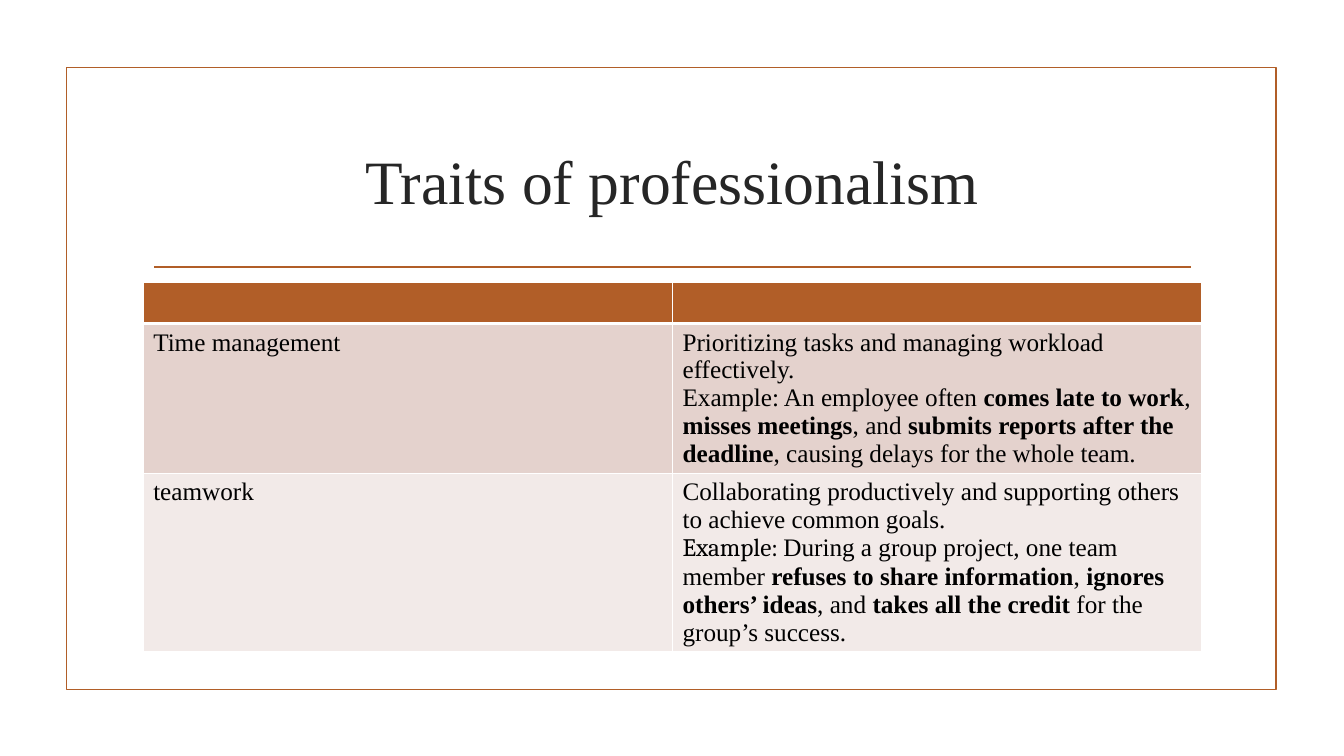
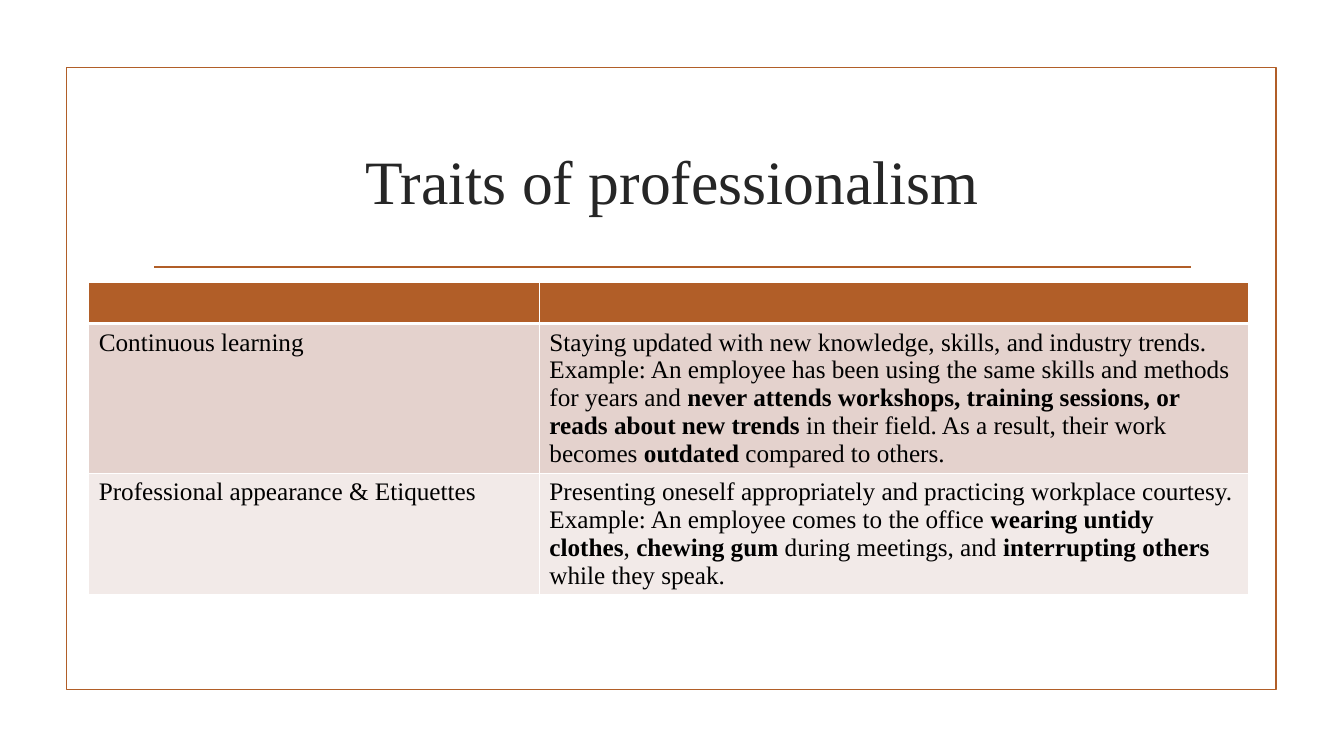
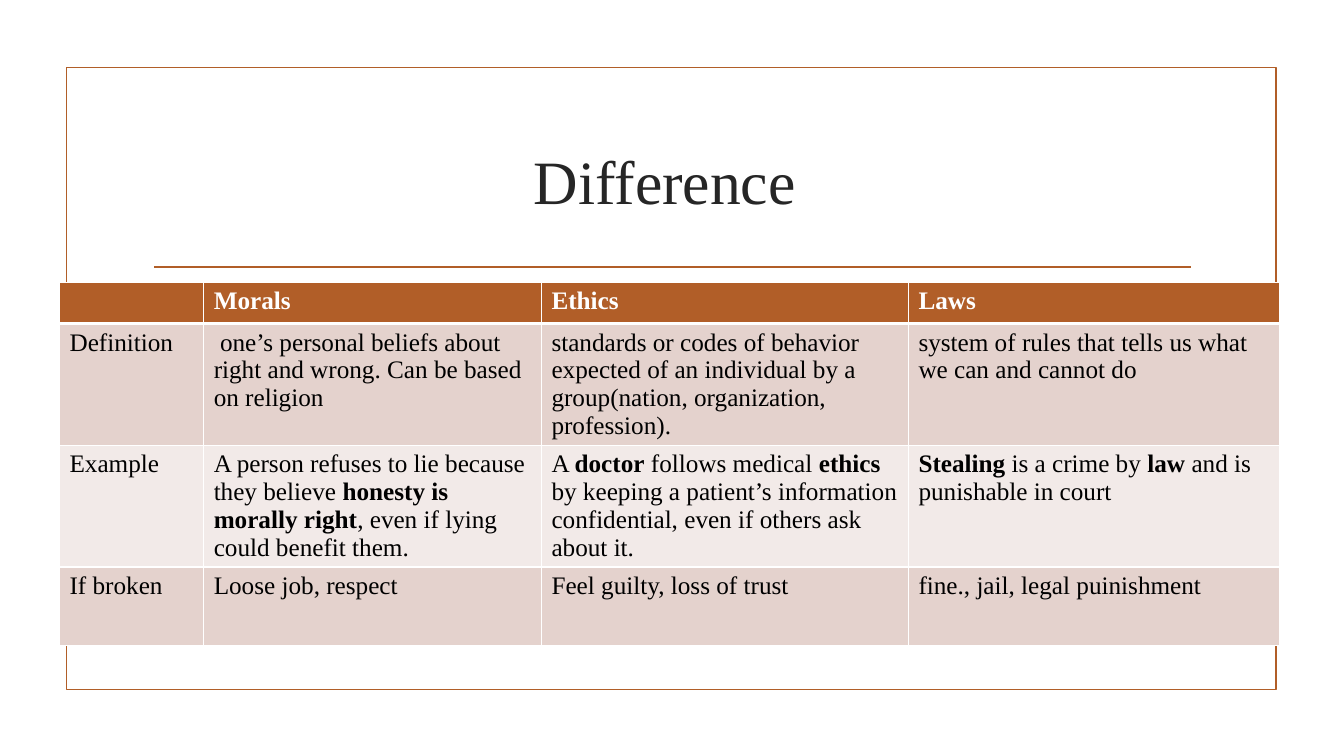
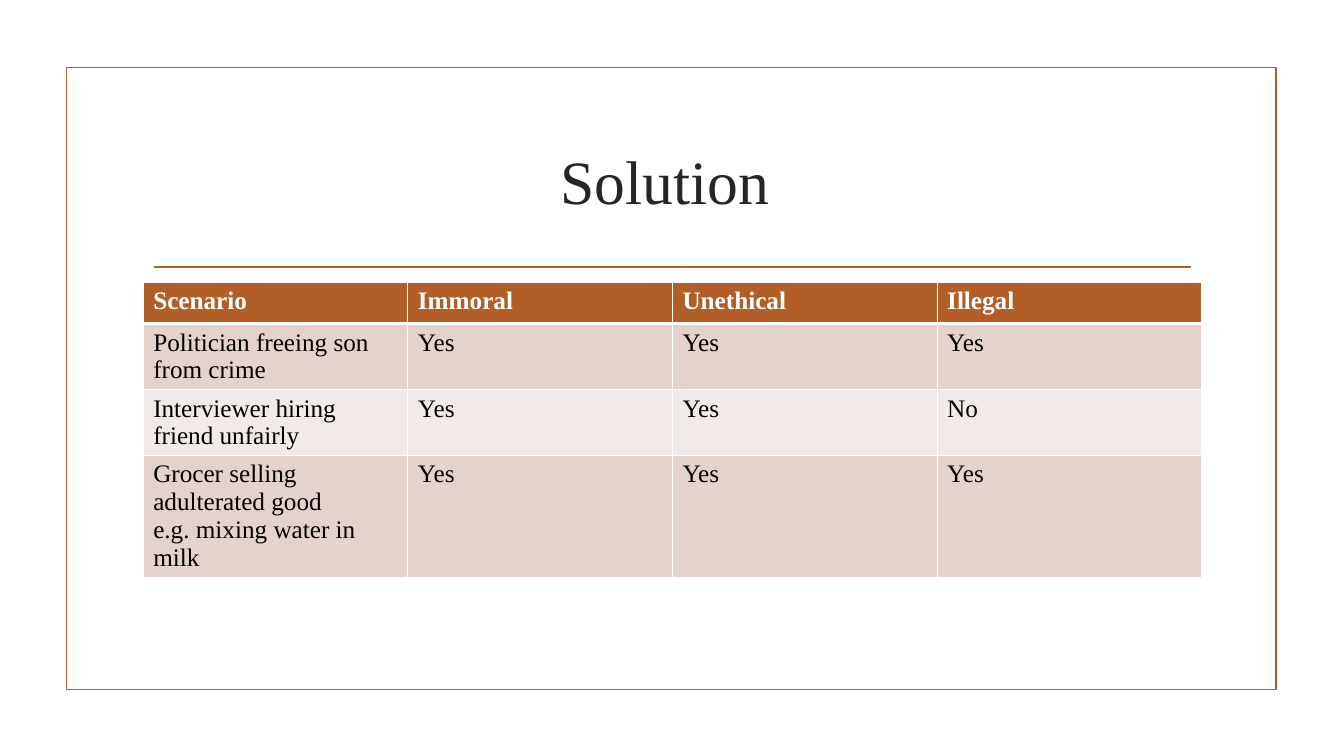
from dataclasses import dataclass

from pptx import Presentation
from pptx.dml.color import RGBColor
from pptx.enum.shapes import MSO_CONNECTOR, MSO_SHAPE
from pptx.enum.text import MSO_ANCHOR, PP_ALIGN
from pptx.oxml.xmlchemy import OxmlElement
from pptx.slide import Slide, SlideLayout
from pptx.table import _Cell
from pptx.text.text import _Paragraph
from pptx.util import Inches, Pt

RUST = RGBColor(0xB1, 0x5E, 0x28)
INK = RGBColor(0x26, 0x26, 0x26)
BLACK = RGBColor(0, 0, 0)
WHITE = RGBColor(0xFF, 0xFF, 0xFF)
BANDS = (RGBColor(0xE4, 0xD2, 0xCD), RGBColor(0xF2, 0xEA, 0xE8))

FONT = "Times New Roman"
ALT_FONT = "Cambria"
BOLD_MARK = "**"
ALT_FONT_MARK = "^"

TITLE_ONLY = 5
TABLE_TOP = 2.8
ROW_HEIGHT = 0.41
TALL_ROW_HEIGHT = 0.78


@dataclass(frozen=True)
class TableSlide:
    """A titled table; lengths are in inches, and the first row is the header."""

    title: str
    left: float
    col_widths: list[float]
    row_heights: list[float]
    rows: list[list[str]]


SLIDES = [
    TableSlide(
        "Traits of professionalism", 1.42, [5.25] * 2, [ROW_HEIGHT] * 3,
        [
            ["", ""],
            ["Time management",
             "Prioritizing tasks and managing workload effectively.\n"
             "Example: An employee often **comes late to work**, **misses meetings**, "
             "and **submits reports after the deadline**, causing delays for the "
             "whole team."],
            ["teamwork",
             "Collaborating productively and supporting others to achieve common goals.\n"
             "^Example: ^During a group project, one team member **refuses to share "
             "information**, **ignores others’ ideas**, and **takes all the credit** "
             "for the group’s success."],
        ],
    ),
    TableSlide(
        "Traits of professionalism", 0.88, [4.47, 7.03], [ROW_HEIGHT] * 3,
        [
            ["", ""],
            ["Continuous learning",
             "Staying updated with new knowledge, skills, and industry trends.\n"
             "Example: An employee has been using the same skills and methods for years "
             "and **never attends workshops, training sessions, or reads about new "
             "trends** in their field. As a result, their work becomes **outdated** "
             "compared to others."],
            ["Professional appearance & Etiquettes",
             "Presenting oneself appropriately and practicing workplace courtesy.\n"
             "Example: An employee comes to the office **wearing untidy clothes**, "
             "**chewing gum** during meetings, and **interrupting others** while they "
             "speak."],
        ],
    ),
    TableSlide(
        "Difference ", 0.59, [1.43, 3.35, 3.64, 3.68],
        [ROW_HEIGHT] * 2 + [TALL_ROW_HEIGHT] * 2,
        [
            ["", "Morals", "Ethics", "Laws"],
            ["Definition",
             " one’s personal beliefs about right and wrong. Can be based on religion",
             "standards or codes of behavior expected of an individual by a "
             "group(nation, organization, profession).",
             "system of rules that tells us what we can and cannot do"],
            ["Example",
             "A person refuses to lie because they believe **honesty is morally "
             "right**, even if lying could benefit them.",
             "A **doctor** follows medical **ethics** by keeping a patient’s "
             "information confidential, even if others ask about it.",
             "**Stealing** is a crime by **law** and is punishable in court"],
            ["If broken", "Loose job, respect", "Feel guilty, loss of trust",
             "fine., jail, legal puinishment"],
        ],
    ),
    TableSlide(
        "Solution ", 1.42, [10.5 / 4] * 4, [ROW_HEIGHT] * 4,
        [
            ["Scenario", "Immoral", "Unethical", "Illegal"],
            ["Politician freeing son from crime", "Yes", "Yes", "Yes"],
            ["Interviewer hiring friend unfairly", "Yes", "Yes", "No"],
            ["Grocer selling adulterated good\ne.g. mixing water in milk",
             "Yes", "Yes", "Yes"],
        ],
    ),
]


def set_up_layout(layout: SlideLayout, slide: Slide) -> None:
    """Place the title on the layout, and move the frame and rule there from slide."""
    title = layout.placeholders[0]
    title.left, title.top = Inches(1.42), Inches(1.07)
    title.width, title.height = Inches(10.5), Inches(1.43)

    frame = slide.shapes.add_shape(
        MSO_SHAPE.RECTANGLE, Inches(0.66), Inches(0.67), Inches(12), Inches(6.17))
    frame.shadow.inherit = False
    frame.fill.background()

    rule = slide.shapes.add_connector(
        MSO_CONNECTOR.STRAIGHT, Inches(1.53), Inches(2.65), Inches(11.81), Inches(2.65))

    for i, sp in enumerate((frame, rule)):
        sp.line.color.rgb = RUST
        sp.line.width = Pt(1.25)
        sp.element.xpath(".//p:cNvPr")[0].set("id", str(100 + i))
        layout.shapes.element.insert(2 + i, sp.element)
    rule.element.spPr.append(OxmlElement("a:effectLst"))


def set_title(slide: Slide, text: str) -> None:
    tf = slide.shapes.title.text_frame
    tf.text = text
    tf.vertical_anchor = MSO_ANCHOR.MIDDLE
    p = tf.paragraphs[0]
    p.alignment = PP_ALIGN.CENTER
    p.font.name, p.font.size, p.font.color.rgb = FONT, Pt(44), INK


def add_runs(p: _Paragraph, text: str) -> None:
    """Write text, where marks switch bold and the second font on and off."""
    for i, part in enumerate(text.split(ALT_FONT_MARK)):
        for j, piece in enumerate(part.split(BOLD_MARK)):
            if not piece:
                continue
            r = p.add_run()
            r.text = piece
            if i % 2:
                r.font.name = ALT_FONT
            if j % 2:
                r.font.bold = True


def set_borders(cell: _Cell, row: int) -> None:
    """Draw white borders, with a thick one between the header and the body."""
    thick_side = {0: "B", 1: "T"}.get(row)
    tc_pr = cell._tc.get_or_add_tcPr()
    for side in "LRTB":
        ln = OxmlElement(f"a:ln{side}")
        ln.set("w", str(Pt(3 if side == thick_side else 1)))
        fill = OxmlElement("a:solidFill")
        color = OxmlElement("a:srgbClr")
        color.set("val", str(WHITE))
        fill.append(color)
        ln.append(fill)
        tc_pr.append(ln)


def fill_cell(cell: _Cell, row: int, text: str) -> None:
    is_header = row == 0
    set_borders(cell, row)
    cell.fill.solid()
    cell.fill.fore_color.rgb = RUST if is_header else BANDS[(row - 1) % 2]
    tf = cell.text_frame
    for i, line in enumerate(text.split("\n")):
        p = tf.add_paragraph() if i else tf.paragraphs[0]
        p.font.name, p.font.size = FONT, Pt(18)
        p.font.bold = is_header
        p.font.color.rgb = WHITE if is_header else BLACK
        add_runs(p, line)


def add_table(slide: Slide, content: TableSlide) -> None:
    table = slide.shapes.add_table(
        len(content.rows), len(content.col_widths),
        Inches(content.left), Inches(TABLE_TOP),
        Inches(sum(content.col_widths)), Inches(sum(content.row_heights))).table
    for column, width in zip(table.columns, content.col_widths):
        column.width = Inches(width)
    for i, (height, texts) in enumerate(zip(content.row_heights, content.rows)):
        table.rows[i].height = Inches(height)
        for j, text in enumerate(texts):
            fill_cell(table.cell(i, j), i, text)


def main() -> None:
    prs = Presentation()
    prs.slide_width, prs.slide_height = Inches(13.33), Inches(7.5)
    layout = prs.slide_layouts[TITLE_ONLY]
    for i, content in enumerate(SLIDES):
        slide = prs.slides.add_slide(layout)
        if i == 0:
            set_up_layout(layout, slide)
        set_title(slide, content.title)
        add_table(slide, content)
    prs.save("out.pptx")


if __name__ == "__main__":
    main()
